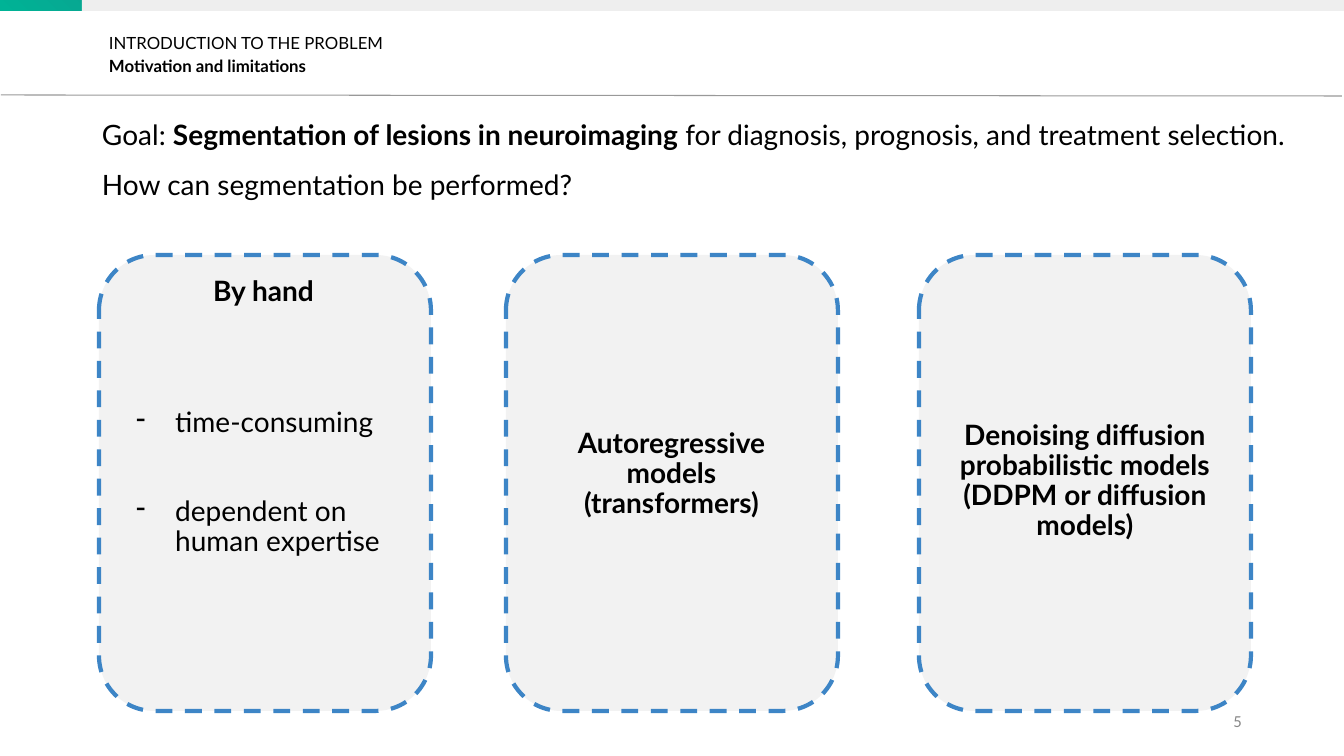
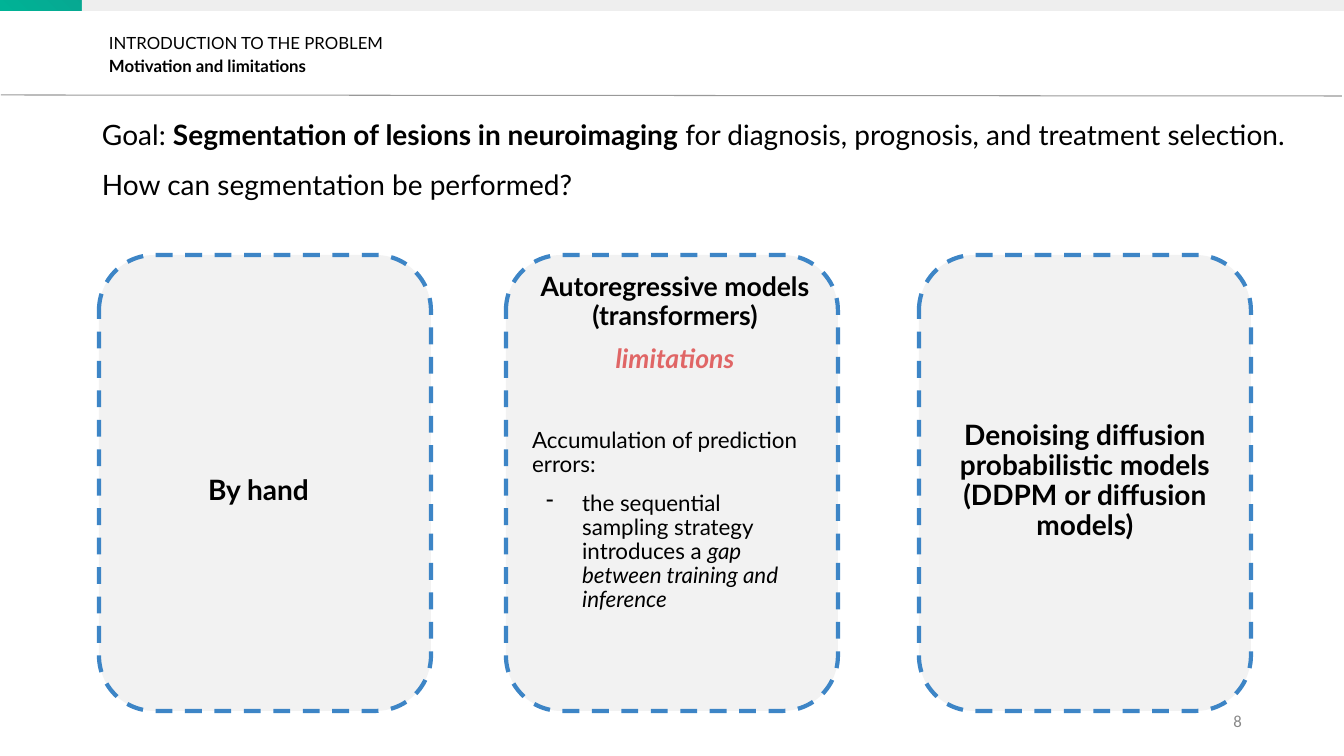
from lxml.etree import SubElement
from pptx import Presentation
from pptx.dml.color import RGBColor
from pptx.enum.dml import MSO_LINE
from pptx.enum.shapes import MSO_CONNECTOR as Connector, MSO_SHAPE as Shape
from pptx.enum.text import MSO_ANCHOR as Anchor, PP_ALIGN as Align
from pptx.oxml.ns import qn
from pptx.util import Emu, Pt

SLIDE_W, SLIDE_H = 1344, 756
COLORS = {
    "ink": "000000",
    "band": "EEEEEE",
    "rule": "999999",
    "number": "888888",
    "card": "F2F2F2",
    "dash": "3D85C6",
    "alert": "E06666",
}
BAND_STOPS = [(0, "013370"), (48, "3A5372"), (100, "00B396")]
CARD_LEFTS = (99, 506, 919)
CARD_TOP, CARD_W, CARD_H = 255, 332, 456

BOLD = {"bold": True}
ITALIC = {"italic": True}
TIGHT = {"line_spacing": 0.9, "space_before": Pt(10)}
CENTERED = {"alignment": Align.CENTER}

GOAL = [
    ([("Goal: ", {}),
      ("Segmentation of lesions in neuroimaging", BOLD),
      (" for diagnosis, prognosis, and treatment selection.", {})], TIGHT, 0),
    ([("How can segmentation be performed?", {})],
     {**TIGHT, "space_before": Pt(14)}, 0),
]
HAND = [([("By hand", BOLD)], CENTERED, 0)]
AUTOREGRESSIVE = [([("Autoregressive models (transformers)", BOLD)],
                   {**TIGHT, **CENTERED}, 0)]
DIFFUSION = [([("Denoising diffusion probabilistic models (DDPM or diffusion models)", BOLD)],
              {**TIGHT, **CENTERED}, 0)]
LIMITATIONS = AUTOREGRESSIVE + [
    ([("limitations", {**BOLD, **ITALIC, "color": "alert"})], {**TIGHT, **CENTERED}, 0)]
HAND_DRAWBACKS = [
    ([("time-consuming", {})], TIGHT, 39),
    ([("dependent on human expertise", {})], {**TIGHT, "space_before": Pt(41.6)}, 39),
]
ERROR_DRAWBACKS = [
    ([("Accumulation of prediction errors:", {})], TIGHT, 0),
    ([("the sequential sampling strategy introduces a ", {}),
      ("gap between training and inference", ITALIC)], TIGHT, 36),
]


def px(length):
    """Turn px into EMU."""
    return Emu(round(length * 914400 / 100.8))


def rgb(name):
    """Look up a palette colour."""
    return RGBColor.from_string(COLORS[name])


def apply(target, values):
    """Set each attribute of a format dict on the target."""
    for attribute, value in values.items():
        setattr(target, attribute, value)


def set_bullet(paragraph, hanging):
    """Give a paragraph a dash bullet with a hanging indent in px."""
    props = paragraph._p.get_or_add_pPr()
    props.set("marL", str(px(50)))
    props.set("indent", str(-px(hanging)))
    tint = SubElement(props, qn("a:buClr"))
    SubElement(tint, qn("a:srgbClr"), val=COLORS["ink"])
    SubElement(props, qn("a:buChar"), char="-")


def write(frame, paragraphs, size, font="Lato", color="ink", anchor=Anchor.TOP,
          inset_x=10, inset_top=10, inset_bottom=10):
    """Fill a text frame with (runs, paragraph format, hanging indent) entries."""
    apply(frame, {
        "word_wrap": True, "vertical_anchor": anchor,
        "margin_left": px(inset_x), "margin_right": px(inset_x),
        "margin_top": px(inset_top), "margin_bottom": px(inset_bottom),
    })
    for index, (runs, layout, hanging) in enumerate(paragraphs):
        paragraph = frame.add_paragraph() if index else frame.paragraphs[0]
        apply(paragraph, {"alignment": Align.LEFT, **layout})
        if hanging:
            set_bullet(paragraph, hanging)
        for text, style in runs:
            run = paragraph.add_run()
            run.text = text
            style = {"name": font, "size": Pt(size), "color": color, **style}
            run.font.color.rgb = rgb(style.pop("color"))
            apply(run.font, style)


def add_text(slide, box, paragraphs, size, **options):
    """Place a text box."""
    textbox = slide.shapes.add_textbox(*map(px, box))
    write(textbox.text_frame, paragraphs, size, **options)


def add_block(slide, kind, box, color):
    """Place a filled shape without outline or shadow."""
    block = slide.shapes.add_shape(kind, *map(px, box))
    block.shadow.inherit = False
    block.fill.solid()
    block.fill.fore_color.rgb = rgb(color)
    block.line.fill.background()
    return block


def add_band(slide, box, accent_width):
    """Draw the top band with its gradient accent at the left."""
    left, top, width, height = box
    accent = add_block(slide, Shape.RECTANGLE, box, "band")
    accent.fill.gradient()
    gradient = accent._element.spPr.find(qn("a:gradFill"))
    for child in list(gradient):
        gradient.remove(child)
    stops = SubElement(gradient, qn("a:gsLst"))
    for position, color in BAND_STOPS:
        stop = SubElement(stops, qn("a:gs"), pos=str(position * 1000))
        SubElement(stop, qn("a:srgbClr"), val=color)
    radial = SubElement(gradient, qn("a:path"), path="circle")
    SubElement(radial, qn("a:fillToRect"), l="100000", b="100000")
    add_block(slide, Shape.RECTANGLE,
              (left + accent_width, top, width - accent_width, height), "band")


def add_header(slide, box):
    """Draw the section title and the rule below it."""
    left, top, width, height = box
    bottom = top + height
    rule = slide.shapes.add_connector(
        Connector.STRAIGHT, px(left + 1), px(bottom), px(left + width - 2), px(bottom + 1))
    rule.line.color.rgb = rgb("rule")
    rule.line.width = Pt(0.75)
    SubElement(rule._element.spPr, qn("a:effectLst"))
    spacing = {"line_spacing": 1.15}
    add_text(slide, (left + 99, top, 319, height),
             [([("INTRODUCTION TO THE PROBLEM", {})], spacing, 0),
              ([("Motivation and limitations", BOLD)], spacing, 0)],
             12, anchor=Anchor.MIDDLE)


def add_card(slide, box, label, label_box, label_size=20, details=(), detail_size=20,
             detail_top=10):
    """Draw a dashed card with its label, placed within the card, and its details."""
    left, top, width, height = box
    card = add_block(slide, Shape.ROUNDED_RECTANGLE, box, "card")
    card.line.color.rgb = rgb("dash")
    apply(card.line, {"width": Pt(3), "dash_style": MSO_LINE.DASH})
    if details:
        write(card.text_frame, details, detail_size, anchor=Anchor.MIDDLE,
              inset_top=detail_top)
    dx, dy, label_width, label_height = label_box
    add_text(slide, (left + dx, top + dy, label_width, label_height), label, label_size)


def add_methods_slide(deck, number, cards):
    """Build a slide with the goal and one card per segmentation method."""
    slide = deck.slides.add_slide(deck.slide_layouts[6])
    add_text(slide, (950, 701, 302, 40),
             [([(number, {})], {"alignment": Align.RIGHT}, 0)], 12, font="Calibri",
             color="number", anchor=Anchor.MIDDLE, inset_top=5, inset_bottom=5)
    add_band(slide, (0, 0, SLIDE_W, 11), 82)
    add_header(slide, (0, 11, SLIDE_W, 84))
    for left, card in zip(CARD_LEFTS, cards):
        add_card(slide, (left, CARD_TOP, CARD_W, CARD_H), **card)
    add_text(slide, (92, 116, 1209, 127), GOAL, 20, inset_top=5, inset_bottom=5)


def main():
    """Build and save the deck."""
    deck = Presentation()
    apply(deck, {"slide_width": px(SLIDE_W), "slide_height": px(SLIDE_H)})
    diffusion = {"label": DIFFUSION, "label_box": (19, 156, 294, 142)}
    add_methods_slide(deck, "5", [
        {"label": HAND, "label_box": (48, 9, 233, 40), "details": HAND_DRAWBACKS},
        {"label": AUTOREGRESSIVE, "label_box": (49, 164, 233, 127)},
        diffusion,
    ])
    add_methods_slide(deck, "8", [
        {"label": HAND, "label_box": (43, 208, 233, 40)},
        {"label": LIMITATIONS, "label_box": (22, 9, 294, 40), "label_size": 19,
         "details": ERROR_DRAWBACKS, "detail_size": 16, "detail_top": 86},
        diffusion,
    ])
    deck.save("out.pptx")


if __name__ == "__main__":
    main()
